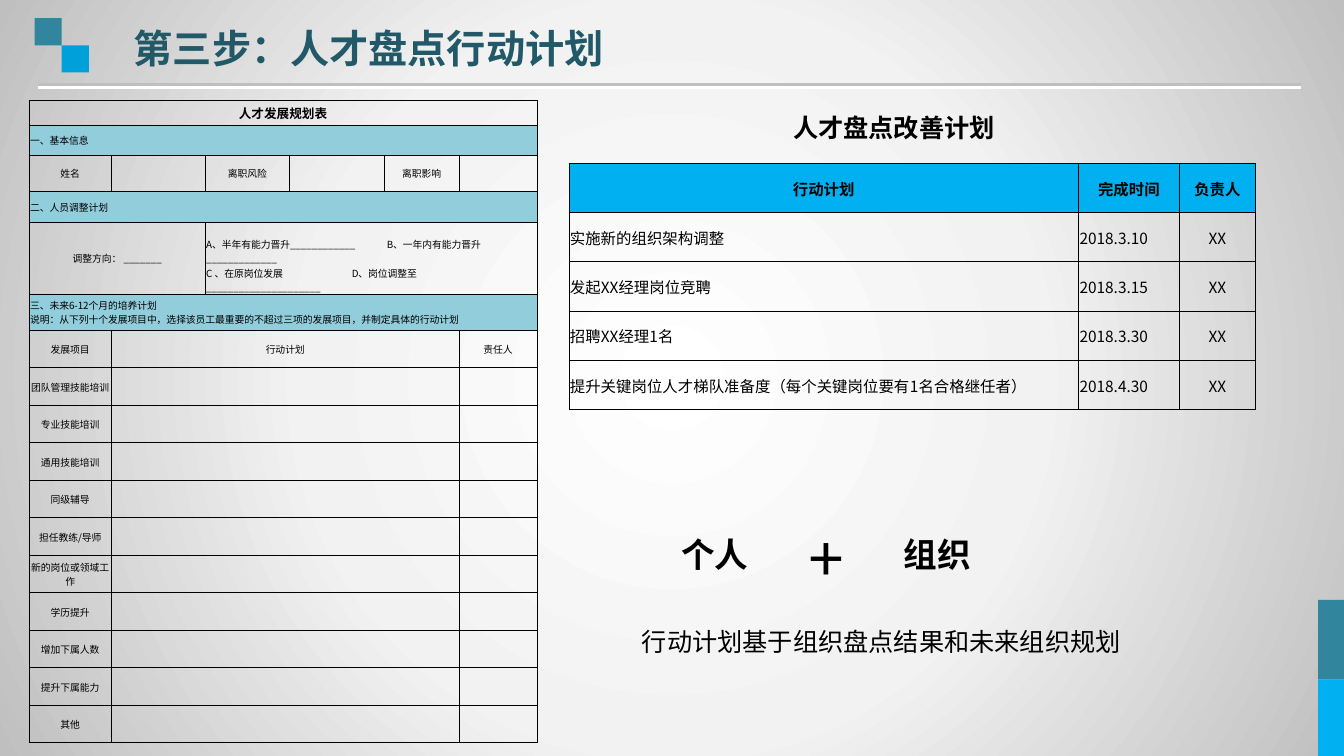
from lxml import etree
from pptx import Presentation
from pptx import util as u
from pptx.dml.color import RGBColor
from pptx.enum import shapes, text
from pptx.oxml import ns, parse_xml

NS = ns.nsdecls("a")
TEAL, SKY, PALE, GREY = "31859C", "00B0F0", "92CDDC", "BFBFBF"
ALIGN = {"l": text.PP_ALIGN.LEFT, "c": text.PP_ALIGN.CENTER}
ANCHOR = {"m": text.MSO_ANCHOR.MIDDLE, "b": text.MSO_ANCHOR.BOTTOM}


def tint(code):
    return RGBColor.from_string(code)


def write(frame, words, size=18, bold=False, color="000000",
          font="Noto Sans CJK SC", align="l", tabs=()):
    """Put one paragraph per line of words into the frame."""
    for i, line in enumerate(words.split("\n")):
        para = frame.paragraphs[0] if i == 0 else frame.add_paragraph()
        para.alignment = ALIGN[align]
        if not line:
            end = etree.SubElement(para._p, ns.qn("a:endParaRPr"))
            end.set("sz", str(size * 100))
            continue
        if tabs and "\t" in line:
            stop = f'<a:tab pos="{u.Pt(tabs[i])}" algn="l"/>'
            para._p.get_or_add_pPr().append(
                parse_xml(f"<a:tabLst {NS}>{stop}</a:tabLst>"))
        run = para.add_run()
        run.text = line
        run.font.size = u.Pt(size)
        run.font.bold = bold
        run.font.name = font
        run.font.color.rgb = tint(color)
        latin = run._r.rPr.find(ns.qn("a:latin"))
        latin.addnext(parse_xml(f'<a:ea {NS} typeface="{font}"/>'))


class Page:
    def __init__(self, deck, edge="000000", thick=0.5, pad=0.7):
        self.slide = deck.slides.add_slide(deck.slide_layouts[6])
        self.items = self.slide.shapes
        self.edge, self.thick, self.pad = edge, thick, pad

    def block(self, x, y, w, h, color):
        box = self.items.add_shape(shapes.MSO_SHAPE.RECTANGLE,
                                   u.Pt(x), u.Pt(y), u.Pt(w), u.Pt(h))
        box.shadow.inherit = False
        box.line.fill.background()
        box.fill.solid()
        box.fill.fore_color.rgb = tint(color)
        return box

    def glow(self, w, h, stops):
        """Cover the slide with a gradient that spreads from its centre."""
        box = self.block(0, 0, w, h, "FFFFFF")
        marks = "".join(f'<a:gs pos="{pos * 1000}"><a:srgbClr val="{code}"/></a:gs>'
                        for pos, code in stops)
        grad = parse_xml(
            f'<a:gradFill {NS} rotWithShape="1"><a:gsLst>{marks}</a:gsLst>'
            '<a:path path="circle"><a:fillToRect l="50000" t="50000" '
            'r="50000" b="50000"/></a:path></a:gradFill>')
        solid = box._element.spPr.find(ns.qn("a:solidFill"))
        solid.getparent().replace(solid, grad)

    def rule(self, x, y, end, color, thick):
        line = self.items.add_connector(shapes.MSO_CONNECTOR.STRAIGHT,
                                        u.Pt(x), u.Pt(y), u.Pt(end), u.Pt(y))
        line.line.color.rgb = tint(color)
        line.line.width = u.Pt(thick)
        etree.SubElement(line._element.spPr, ns.qn("a:effectLst"))

    def label(self, x, y, w, h, words, **style):
        box = self.items.add_textbox(u.Pt(x), u.Pt(y), u.Pt(w), u.Pt(h))
        box.text_frame.word_wrap = True
        box.text_frame.auto_size = text.MSO_AUTO_SIZE.SHAPE_TO_FIT_TEXT
        write(box.text_frame, words, **style)

    def frame(self, cell):
        """Draw the four borders of a cell."""
        props = cell._tc.get_or_add_tcPr()
        for i, side in enumerate(("lnL", "lnR", "lnT", "lnB")):
            props.insert(i, parse_xml(
                f'<a:{side} {NS} w="{u.Pt(self.thick)}"><a:solidFill>'
                f'<a:srgbClr val="{self.edge}"/></a:solidFill></a:{side}>'))

    def grid(self, x, y, cols, rows, data, look):
        """Add a table; None joins a cell to its left neighbour,
        look(row, col) gives fill, anchor and text format."""
        shape = self.items.add_table(len(rows), len(cols), u.Pt(x), u.Pt(y),
                                     u.Pt(sum(cols)), u.Pt(sum(rows)))
        table = shape.table
        table.first_row = table.horz_banding = False
        for col, width in zip(table.columns, cols):
            col.width = u.Pt(width)
        for row, height in zip(table.rows, rows):
            row.height = u.Pt(height)
        for r, line in enumerate(data):
            for c, words in enumerate(line):
                cell = table.cell(r, c)
                fill, anchor, style = look(r, c)
                if fill:
                    cell.fill.solid()
                    cell.fill.fore_color.rgb = tint(fill)
                else:
                    cell.fill.background()
                self.frame(cell)
                cell.margin_left = cell.margin_right = u.Pt(self.pad)
                cell.margin_top, cell.margin_bottom = u.Pt(self.pad), 0
                cell.vertical_anchor = ANCHOR[anchor]
                write(cell.text_frame, words or "", **style)
            starts = [c for c, words in enumerate(line) if words is not None]
            for a, b in zip(starts, starts[1:] + [len(line)]):
                if b - a > 1:
                    table.cell(r, a).merge(table.cell(r, b - 1))


def plan_look(r, c):
    if r == 0:
        return None, "m", dict(size=9, bold=True, align="c")
    if r in (1, 3, 5):
        return PALE, "m", dict(size=7)
    if r == 4 and c == 2:
        return None, "b", dict(size=7, tabs=(129, 0, 104, 0))
    return None, "m", dict(size=7, align="c")


def task_look(r, c):
    head = r == 0
    align = "c" if head or c == 2 else "l"
    return SKY if head else None, "m", dict(size=11, bold=head, align=align)


def wide(words):
    return [words] + [None] * 5


SKILLS = ["团队管理技能培训", "专业技能培训", "通用技能培训", "同级辅导",
          "担任教练/导师", "新的岗位或领域工作", "学历提升", "增加下属人数",
          "提升下属能力", "其他"]
MOVES = "\n".join(["A、半年有能力晋升____________\tB、一年内有能力晋升", "_" * 13,
                   "C 、在原岗位发展\tD、岗位调整至", "_" * 21])
PLAN = [
    wide("人才发展规划表"),
    wide("一、基本信息"),
    ["姓名", "", "离职风险", "", "离职影响", ""],
    wide("二、人员调整计划"),
    ["调整方向： _______", None, MOVES, None, None, None],
    wide("三、未来6-12个月的培养计划\n说明：从下列十个发展项目中，选择该员工最重要的"
         "不超过三项的发展项目，并制定具体的行动计划"),
    ["发展项目", "行动计划", None, None, None, "责任人"],
] + [[skill, "", None, None, None, ""] for skill in SKILLS]
TASKS = [["行动计划", "完成时间", "负责人"]] + [[job, "2018." + day, "XX"] for job, day in (
    ("实施新的组织架构调整", "3.10"),
    ("发起XX经理岗位竞聘", "3.15"),
    ("招聘XX经理1名", "3.30"),
    ("提升关键岗位人才梯队准备度（每个关键岗位要有1名合格继任者）", "4.30"))]


def main():
    deck = Presentation()
    deck.slide_width, deck.slide_height = u.Pt(960), u.Pt(540)
    page = Page(deck)
    page.glow(960, 540, [(0, "FFFFFF"), (48, "F2F2F2"), (100, GREY)])
    page.block(941.6, 428.5, 18.4, 56.8, TEAL)
    page.block(941.6, 485.3, 18.4, 54.7, SKY)
    page.rule(27.2, 62.4, 929, "FFFFFF", 2.25)
    page.rule(27.2, 60.4, 929, GREY, 2.25)
    page.block(24.7, 13, 19.4, 19.4, TEAL)
    page.block(44.1, 32.4, 19.4, 19.4, "00A1DA")
    page.label(88.5, 13.6, 391, 41, "第三步：人才盘点行动计划",
               size=28, bold=True, color="215968")

    page.grid(20.8, 71.4, [58.7, 67.1, 60.2, 67.7, 53.6, 55.5],
              [18, 21.4, 25.8, 22.1, 51.4, 25.8] + [26.8] * 11, PLAN, plan_look)
    page.label(559.4, 77, 390, 29, "人才盘点改善计划", bold=True)
    page.grid(406.4, 116.6, [364, 72, 54.4], [35.2] * 5, TASKS, task_look)

    for x, words in ((479.5, "个人"), (638.6, "组织")):
        page.label(x, 378, 79, 36, words, size=24, bold=True)
    page.label(571, 363, 79, 65.5, "+", size=48, font="Calibri")
    page.label(451.4, 443.5, 453.6, 29, "行动计划基于组织盘点结果和未来组织规划")
    deck.save("out.pptx")


if __name__ == "__main__":
    main()
